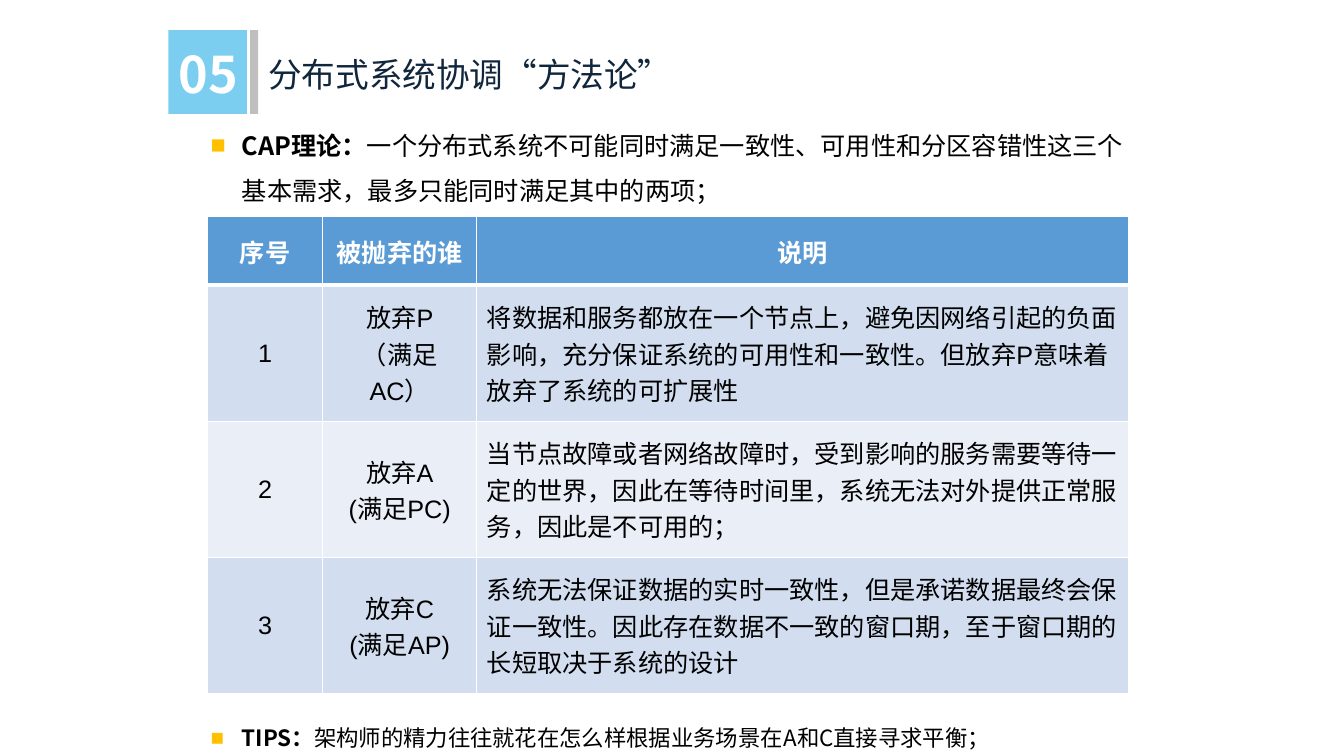
from dataclasses import dataclass

from lxml import etree
from pptx import Presentation
from pptx import util as u
from pptx.dml import color
from pptx.enum import shapes, text
from pptx.oxml import ns

PX = 9144


@dataclass(frozen=True)
class Theme:
    latin: str = "Arial"
    cjk: str = "Noto Sans CJK SC"
    white: str = "FFFFFF"
    black: str = "000000"
    title: str = "10263C"
    badge: str = "7CCEF1"
    bar: str = "BFBFBF"
    bullet: str = "FFC000"
    header: str = "5B9BD5"
    bands: tuple = ("D2DEEF", "EAEFF7")
    number_size: int = 36
    title_size: int = 24
    body_size: int = 18
    tips_size: int = 16


def rgb(value):
    return color.RGBColor.from_string(value)


def add_node(parent, tag, **attributes):
    return etree.SubElement(parent, ns.qn(tag), attributes)


class SlideBuilder:
    def __init__(self, page, theme):
        self.page = page
        self.theme = theme

    def format_span(self, span, size, ink, font, bold=False):
        span.font.size = u.Pt(size)
        span.font.bold = bold
        span.font.color.rgb = rgb(ink)
        span.font.name = font
        add_node(span.font._element, "a:ea", typeface=self.theme.cjk)

    def title(self, words, *area):
        box = self.page.shapes.title
        box.left, box.top, box.width, box.height = (n * PX for n in area)
        frame = box.text_frame
        frame.text = words
        frame.word_wrap = True
        frame.auto_size = text.MSO_AUTO_SIZE.NONE
        frame.vertical_anchor = text.MSO_ANCHOR.TOP
        para = frame.paragraphs[0]
        para.alignment = text.PP_ALIGN.LEFT
        self.format_span(para.runs[0], self.theme.title_size, self.theme.title, self.theme.latin)

    def block(self, fill, *area):
        shape = self.page.shapes.add_shape(shapes.MSO_SHAPE.RECTANGLE, *(n * PX for n in area))
        shape.shadow.inherit = False
        shape.fill.solid()
        shape.fill.fore_color.rgb = rgb(fill)
        shape.line.fill.background()

    def text_box(self, *area):
        box = self.page.shapes.add_textbox(*(n * PX for n in area))
        box.text_frame.word_wrap = True
        return box.text_frame.paragraphs[0]

    def number(self, words, *area):
        para = self.text_box(*area)
        para.text = words
        self.format_span(para.runs[0], self.theme.number_size, self.theme.white, self.theme.cjk, True)

    def bullet(self, lead, words, size, *area):
        para = self.text_box(*area)
        props = para._p.get_or_add_pPr()
        props.set("marL", str(31 * PX))
        props.set("indent", str(-31 * PX))
        add_node(add_node(props, "a:buClr"), "a:srgbClr", val=self.theme.bullet)
        add_node(props, "a:buFont", typeface=self.theme.latin)
        add_node(props, "a:buChar", char="■")
        para.line_spacing = 1.5
        for part, bold in ((lead, True), (words, False)):
            span = para.add_run()
            span.text = part
            self.format_span(span, size, self.theme.black, self.theme.cjk, bold)

    def borders(self, cell, **widths):
        props = cell._tc.get_or_add_tcPr()
        for side in "LRTB":
            line = add_node(props, f"a:ln{side}", w=str(u.Pt(widths.get(side, 1))))
            add_node(add_node(line, "a:solidFill"), "a:srgbClr", val=self.theme.white)

    def cell(self, cell, words, row, centred):
        theme = self.theme
        is_header = row == 0
        cell.text = words
        cell.vertical_anchor = text.MSO_ANCHOR.MIDDLE
        self.borders(cell, **({"B": 3} if is_header else {"T": 3} if row == 1 else {}))
        cell.fill.solid()
        cell.fill.fore_color.rgb = rgb(theme.header if is_header else theme.bands[(row - 1) % 2])
        for para in cell.text_frame.paragraphs:
            para.alignment = text.PP_ALIGN.CENTER if centred else text.PP_ALIGN.LEFT
            for span in para.runs:
                ink = theme.white if is_header else theme.black
                self.format_span(span, theme.body_size, ink, theme.latin, is_header)

    def table(self, rows, left, top, widths, heights):
        area = (left, top, sum(widths), sum(heights))
        grid = self.page.shapes.add_table(len(rows), len(widths), *(n * PX for n in area)).table
        for column, width in zip(grid.columns, widths):
            column.width = width * PX
        for row, (height, values) in enumerate(zip(heights, rows)):
            grid.rows[row].height = height * PX
            for col, words in enumerate(values):
                self.cell(grid.cell(row, col), words, row, row == 0 or col < 2)


CAP_ROWS = [
    ("序号", "被抛弃的谁", "说明"),
    ("1", "放弃P\n（满足AC）",
     "将数据和服务都放在一个节点上，避免因网络引起的负面影响，充分保证系统的可用性和一致性。但放弃P意味着放弃了系统的可扩展性"),
    ("2", "放弃A\n(满足PC)",
     "当节点故障或者网络故障时，受到影响的服务需要等待一定的世界，因此在等待时间里，系统无法对外提供正常服务，因此是不可用的；"),
    ("3", "放弃C\n(满足AP)",
     "系统无法保证数据的实时一致性，但是承诺数据最终会保证一致性。因此存在数据不一致的窗口期，至于窗口期的长短取决于系统的设计"),
]


def main():
    deck = Presentation()
    deck.slide_width, deck.slide_height = 1333 * PX, 750 * PX
    theme = Theme()
    slide = SlideBuilder(deck.slides.add_slide(deck.slide_layouts[5]), theme)
    slide.title("分布式系统协调“方法论”", 256, 48, 970, 50)
    slide.block(theme.badge, 167, 30, 78, 83)
    slide.block(theme.bar, 248, 30, 8, 83)
    slide.number("05", 167, 38, 89, 71)
    slide.bullet("CAP理论：",
                 "一个分布式系统不可能同时满足一致性、可用性和分区容错性这三个基本需求，最多只能同时满足其中的两项；",
                 theme.body_size, 199, 109, 942, 101)
    slide.table(CAP_ROWS, 206, 215, (114, 153, 646), (68, 135, 135, 135))
    slide.bullet("TIPS：", "架构师的精力往往就花在怎么样根据业务场景在A和C直接寻求平衡；",
                 theme.tips_size, 199, 700, 942, 50)
    deck.save("out.pptx")


if __name__ == "__main__":
    main()
